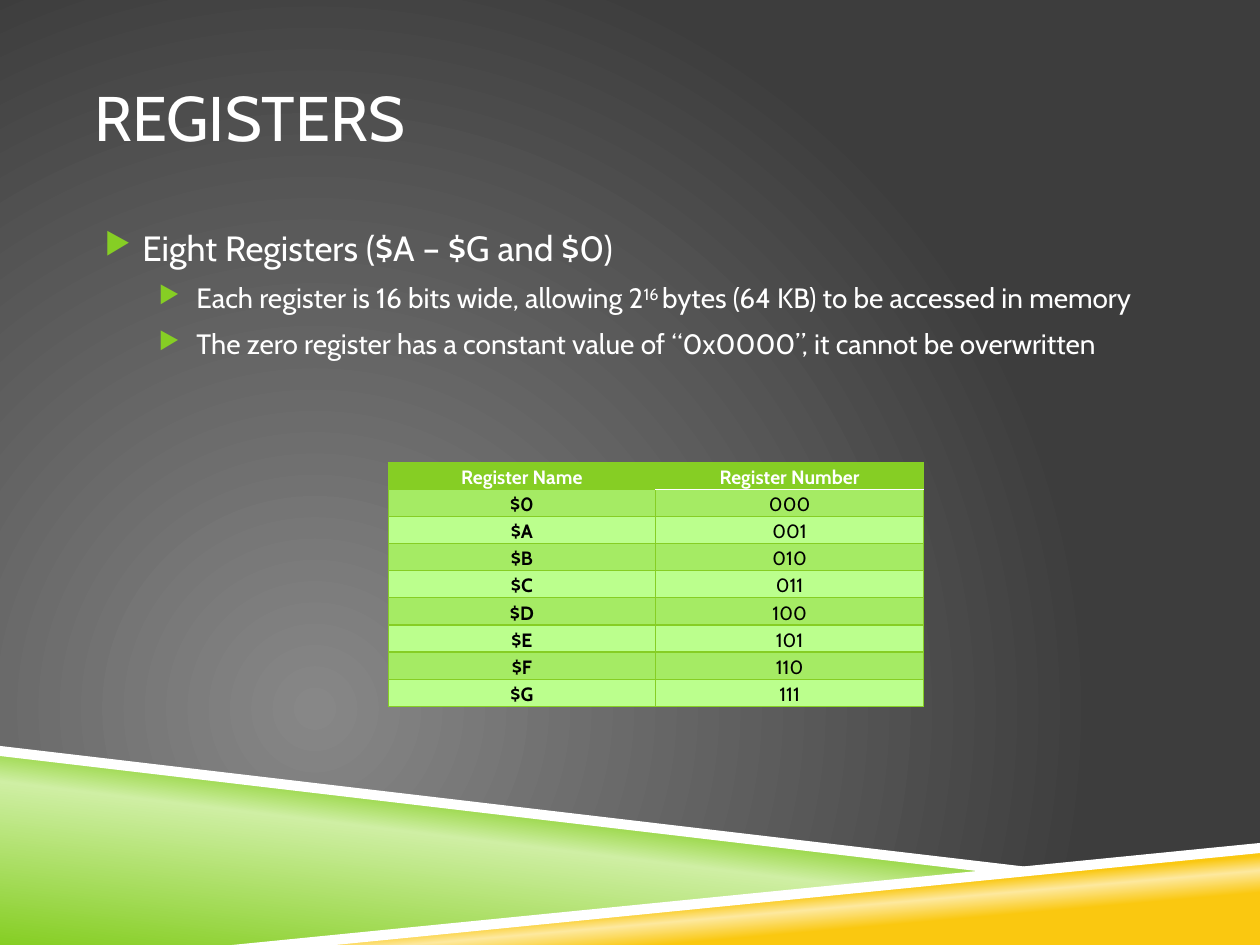
from lxml import etree
from pptx import Presentation
from pptx import util as u
from pptx.dml.color import RGBColor
from pptx.enum import shapes, text
from pptx.oxml import ns

GREEN = RGBColor(0x86, 0xCE, 0x24)
PALE_GREEN = RGBColor(0xCF, 0xEF, 0xA4)
ROW_DARK = RGBColor(0xA5, 0xEB, 0x64)
ROW_LIGHT = RGBColor(0xBB, 0xFF, 0x8D)
YELLOW = RGBColor(0xFA, 0xC8, 0x10)
PALE_YELLOW = RGBColor(0xFD, 0xE9, 0x9F)
GREY = RGBColor(0x87, 0x87, 0x87)
DARK_GREY = RGBColor(0x3D, 0x3D, 0x3D)
WHITE = RGBColor(0xFF, 0xFF, 0xFF)
BLACK = RGBColor(0, 0, 0)


def add_xml(parent, tag, **attributes):
    """Append a DrawingML element to a parent and return it."""
    values = {name: str(value) for name, value in attributes.items()}
    return etree.SubElement(parent, ns.qn(tag), values)


class SlideBuilder:
    """Hold the style and the current slide, and add its elements."""

    font = "Cabin"

    def __init__(self, slide):
        self.slide = slide

    def gradient(self, owner, fill, stops, angle=None):
        fill.solid()
        solid = next(owner.iter(ns.qn("a:solidFill")))
        gradient = etree.Element(ns.qn("a:gradFill"), rotWithShape="1")
        stop_list = add_xml(gradient, "a:gsLst")
        for position, color in stops:
            stop = add_xml(stop_list, "a:gs", pos=position * 1000)
            add_xml(stop, "a:srgbClr", val=color)
        if angle is None:
            circle = add_xml(gradient, "a:path", path="circle")
            add_xml(circle, "a:fillToRect", l=50000, t=100000, r=100000, b=50000)
        else:
            add_xml(gradient, "a:lin", ang=angle * 60000, scaled=0)
        solid.getparent().replace(solid, gradient)

    def background(self, stops):
        self.gradient(self.slide.element, self.slide.background.fill, stops)

    def band(self, points, color=None, stops=None, angle=None):
        corners = [(u.Inches(x), u.Inches(y)) for x, y in points]
        builder = self.slide.shapes.build_freeform(*corners[0])
        builder.add_line_segments(corners[1:], close=True)
        shape = builder.convert_to_shape()
        shape.shadow.inherit = False
        shape.line.fill.background()
        if stops:
            self.gradient(shape.element.spPr, shape.fill, stops, angle)
        else:
            shape.fill.solid()
            shape.fill.fore_color.rgb = color

    def run(self, paragraph, words, size, color=WHITE, bold=False):
        run = paragraph.add_run()
        run.text = words
        run.font.name = self.font
        run.font.size = u.Pt(size)
        run.font.bold = bold
        run.font.color.rgb = color
        return run

    def frame(self, shape, anchor):
        frame = shape.text_frame
        frame.word_wrap = True
        frame.auto_size = text.MSO_AUTO_SIZE.NONE
        frame.vertical_anchor = anchor
        frame.margin_left = frame.margin_right = 0
        frame.margin_top = frame.margin_bottom = u.Inches(0.05)
        return frame

    def title(self, words, left, top, width, height):
        shape = self.slide.shapes.title
        shape.left, shape.top = u.Inches(left), u.Inches(top)
        shape.width, shape.height = u.Inches(width), u.Inches(height)
        paragraph = self.frame(shape, text.MSO_ANCHOR.MIDDLE).paragraphs[0]
        paragraph.alignment = text.PP_ALIGN.LEFT
        self.run(paragraph, words, 36)

    def bullets(self, items, left, top, width, height):
        box = self.slide.shapes.add_textbox(*map(u.Inches, (left, top, width, height)))
        frame = self.frame(box, text.MSO_ANCHOR.TOP)
        for index, (level, parts) in enumerate(items):
            paragraph = frame.add_paragraph() if index else frame.paragraphs[0]
            paragraph.level = level
            paragraph.space_before = u.Pt(7)
            properties = paragraph._p.get_or_add_pPr()
            properties.set("marL", str(u.Inches((0.38, 0.81)[level])))
            properties.set("indent", str(u.Inches(-0.3)))
            add_xml(add_xml(properties, "a:buClr"), "a:srgbClr", val=GREEN)
            add_xml(properties, "a:buSzPct", val=85000)
            add_xml(properties, "a:buChar", char="▶")
            for words, baseline in parts:
                run = self.run(paragraph, words, (20, 16)[level])
                if baseline:
                    run.font._element.set("baseline", str(baseline * 1000))

    def cell(self, cell, words, fill, color, bold, borders):
        for side, (line_color, width) in borders.items():
            line = add_xml(cell._tc.get_or_add_tcPr(), f"a:ln{side}", w=u.Pt(width))
            add_xml(add_xml(line, "a:solidFill"), "a:srgbClr", val=line_color)
        cell.fill.solid()
        cell.fill.fore_color.rgb = fill
        cell.margin_left = cell.margin_right = u.Inches(0.07)
        cell.margin_top = cell.margin_bottom = 0
        paragraph = cell.text_frame.paragraphs[0]
        paragraph.alignment = text.PP_ALIGN.CENTER
        paragraph.line_spacing = 1.15
        self.run(paragraph, words, 11, color, bold)

    def table(self, rows, left, top, width, height):
        frame = self.slide.shapes.add_table(
            len(rows), len(rows[0]), *map(u.Inches, (left, top, width, height)))
        green, white = (GREEN, 0.75), (WHITE, 1)
        for row, values in enumerate(rows):
            for column, words in enumerate(values):
                borders = dict.fromkeys("LRTB", green)
                if column and row < 2:
                    borders["T" if row else "B"] = white
                fill = (ROW_DARK if row % 2 else ROW_LIGHT) if row else GREEN
                self.cell(frame.table.cell(row, column), words, fill,
                          BLACK if row else WHITE, not (row and column), borders)


def main():
    presentation = Presentation()
    presentation.slide_width, presentation.slide_height = u.Inches(10), u.Inches(7.5)
    builder = SlideBuilder(presentation.slides.add_slide(presentation.slide_layouts[5]))
    builder.background([(0, GREY), (100, DARK_GREY)])
    builder.band([(0, 5.97), (7.92, 6.92), (2, 7.5), (0, 7.5)], angle=277,
                 stops=[(0, GREEN), (52, PALE_GREEN), (66, GREEN)])
    builder.band([(1.98, 7.5), (10, 6.72), (10, 7.5)], angle=265,
                 stops=[(28, YELLOW), (40, PALE_YELLOW), (48, YELLOW)])
    builder.band([(0, 5.92), (0, 6), (7.9, 6.93), (8.32, 6.9)], WHITE)
    builder.band([(10, 6.69), (1.84, 7.5), (2.66, 7.5), (10, 6.77)], WHITE)
    builder.title("REGISTERS", 0.75, 0.3, 8.5, 1.25)
    builder.bullets([
        (0, [("Eight Registers ($A – $G and $0)", 0)]),
        (1, [("Each register is 16 bits wide, allowing 2", 0), ("16 ", 30),
             ("bytes (64 KB) to be accessed in memory", 0)]),
        (1, [("The zero register has a constant value of “0x0000”, "
              "it cannot be overwritten", 0)]),
    ], 0.75, 1.75, 8.5, 4.08)
    registers = [(f"${name}", f"{number:03b}") for number, name in enumerate("0ABCDEFG")]
    builder.table([("Register Name", "Register Number"), *registers],
                  3.08, 3.67, 4.25, 1.9)
    presentation.save("out.pptx")


if __name__ == "__main__":
    main()
